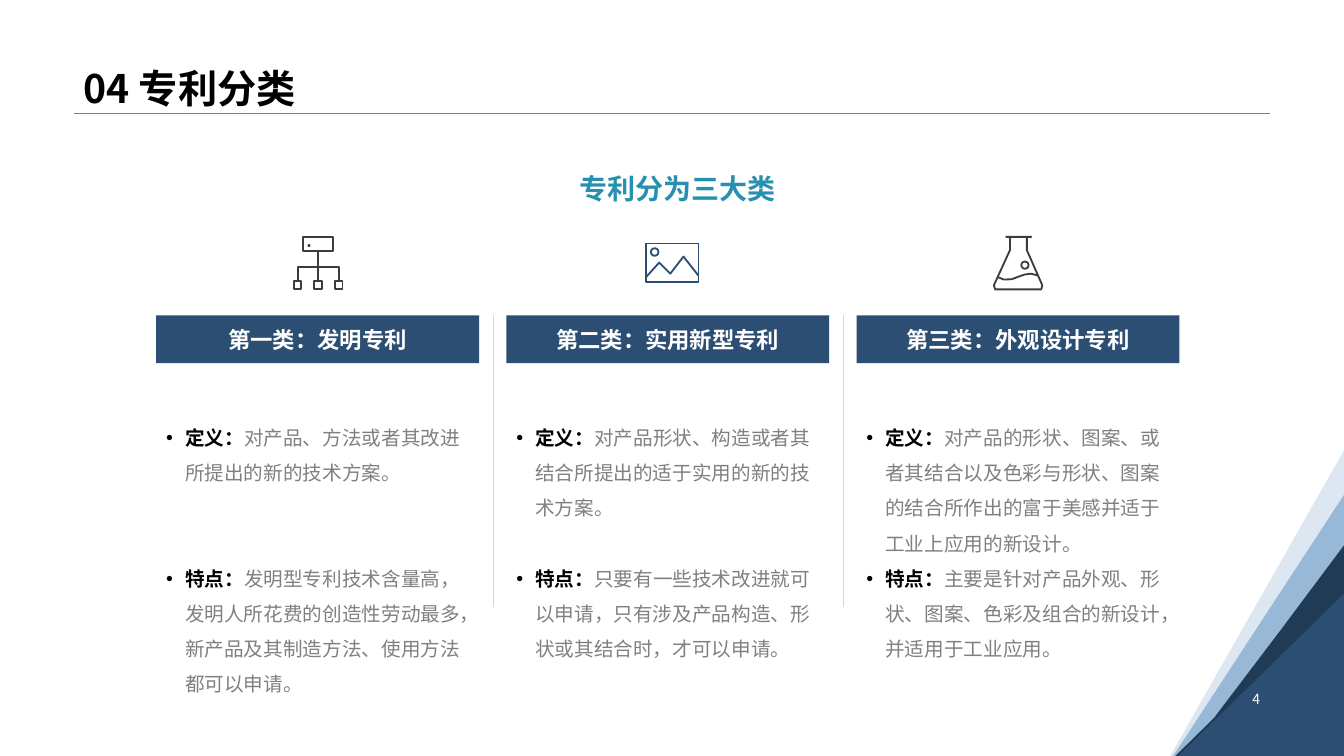
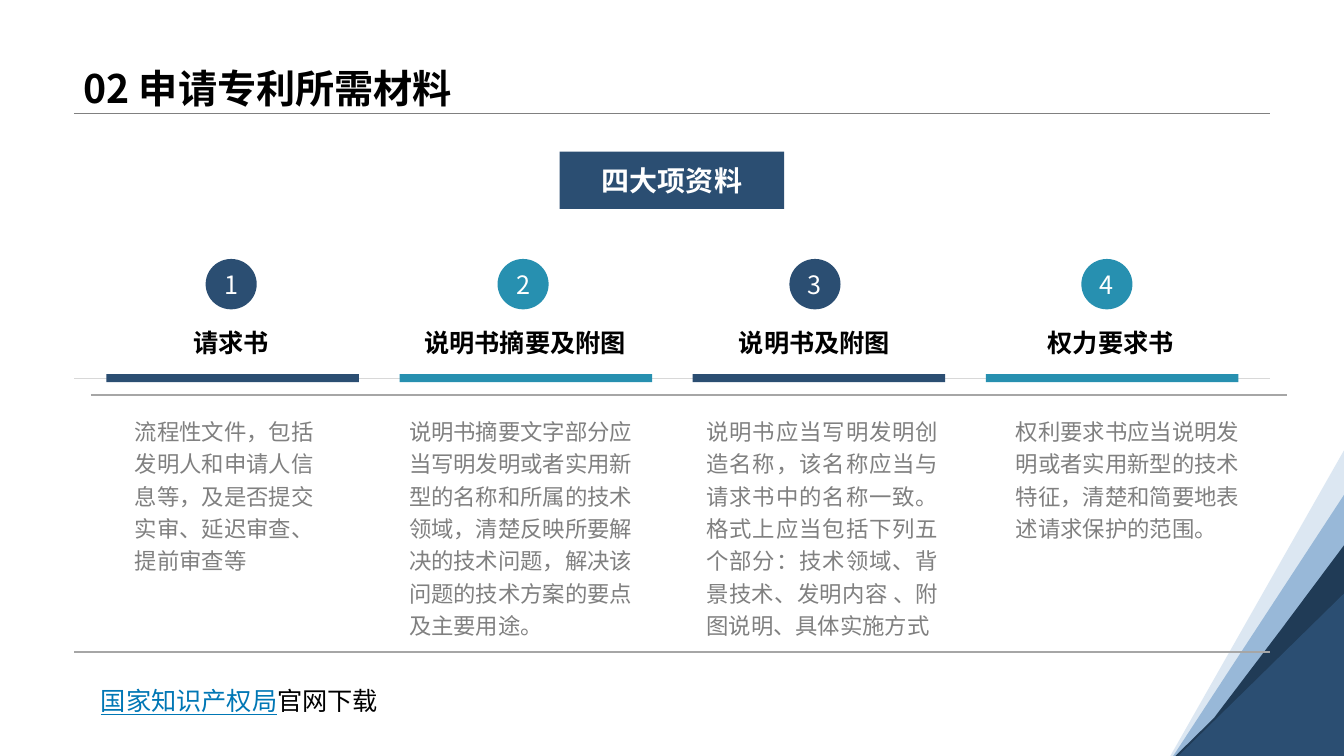
from dataclasses import dataclass

import pptx
import pptx.dml.color
import pptx.enum.shapes
import pptx.enum.text
import pptx.oxml.ns
import pptx.presentation
import pptx.shapes.base
import pptx.slide
import pptx.util
from lxml import etree

Pt = pptx.util.Pt
Align = pptx.enum.text.PP_ALIGN
Anchor = pptx.enum.text.MSO_ANCHOR
Preset = pptx.enum.shapes.MSO_SHAPE
Point = tuple[float, float]
Frame = tuple[float, float, float, float]  # left, top, width, height


@dataclass(frozen=True)
class Theme:
    font: str = "Noto Sans CJK SC"
    link_font: str = "Arial"
    navy: str = "2B4E72"
    teal: str = "2790B0"
    black: str = "000000"
    white: str = "FFFFFF"
    gray: str = "808080"
    rule: str = "A6A6A6"
    pale: str = "D8D8D8"
    ink: str = "3C3C3C"
    link: str = "0077B5"
    title: float = 28
    heading: float = 20
    caption: float = 18
    label: float = 16
    body: float = 14
    footer: float = 10


THEME = Theme()


@dataclass(frozen=True)
class Span:
    text: str
    size: float
    color: str
    bold: bool = False
    underline: bool = False
    font: str = THEME.font


@dataclass(frozen=True)
class Band:
    color: str
    edge: tuple[Point, ...]


@dataclass(frozen=True)
class Icon:
    left: float
    top: float
    color: str
    boxes: tuple[Frame, ...] = ()
    circles: tuple[tuple[float, float, float], ...] = ()  # centre x, centre y, radius
    open_paths: tuple[tuple[Point, ...], ...] = ()
    closed_paths: tuple[tuple[Point, ...], ...] = ()
    joined: tuple[tuple[int, int], ...] = ()  # upper box, lower box


@dataclass(frozen=True)
class Category:
    heading: str
    definition: str
    definition_lines: int
    feature: str
    icon: Icon


@dataclass(frozen=True)
class Material:
    caption: str
    caption_center: float
    body: str
    body_left: float
    body_width: float = 180
    align: Align = Align.LEFT


# Content
BANDS = (
    Band("DCE7F2", ((836, 540), (960, 321.8))),
    Band("98B8D8", ((838, 540), (960, 353.5))),
    Band("203B56", ((839.5, 540), (867, 513), (914.8, 450), (960, 389.5))),
    Band(THEME.navy, ((841.7, 540), (960, 424))),
)

TREE_ICON = Icon(
    209.5, 168.5, THEME.ink,
    boxes=((7.2, 0.7, 20.9, 10.2),) + tuple((x - 2.6, 32.3, 5.2, 5.9) for x in (3.2, 17.65, 32.6)),
    circles=((11.2, 6.9, 0.4),),
    open_paths=(((3.2, 32.3), (3.2, 22), (32.6, 22), (32.6, 32.3)),),
    joined=((0, 2),),
)
PICTURE_ICON = Icon(
    460.8, 173.2, THEME.navy,
    boxes=((0.7, 0.7, 37.5, 27.4),),
    circles=((6.8, 6.8, 2.7),),
    open_paths=(((0.9, 24.5), (10.1, 14.4), (18, 22.3), (27.4, 10.1), (38, 23.6)),),
)
FLASK_ICON = Icon(
    709.2, 168.5, THEME.ink,
    circles=((22.9, 20.9, 2.6),),
    open_paths=(((3.6, 29.5), (7.9, 31.2), (13.5, 31), (18.2, 29.2), (22.5, 27.7), (27, 27), (32, 28.2)),),
    closed_paths=(((9.4, 0.7), (27.4, 0.7), (24.3, 0.7), (24.3, 10.2), (35.3, 35.3), (34.5, 38.2),
                   (1.7, 38.2), (0.7, 35.3), (12.2, 10.2), (12.2, 0.7)),),
)

CATEGORIES = (
    Category("第一类：发明专利", "对产品、方法或者其改进所提出的新的技术方案。", 2,
             "发明型专利技术含量高，发明人所花费的创造性劳动最多，新产品及其制造方法、使用方法都可以申请。",
             TREE_ICON),
    Category("第二类：实用新型专利", "对产品形状、构造或者其结合所提出的适于实用的新的技术方案。", 3,
             "只要有一些技术改进就可以申请，只有涉及产品构造、形状或其结合时，才可以申请。",
             PICTURE_ICON),
    Category("第三类：外观设计专利",
             "对产品的形状、图案、或者其结合以及色彩与形状、图案的结合所作出的富于美感并适于工业上应用的新设计。", 4,
             "主要是针对产品外观、形状、图案、色彩及组合的新设计，并适用于工业应用。",
             FLASK_ICON),
)

MATERIALS = (
    Material("请求书", 165, "流程性文件，包括发明人和申请人信息等，及是否提交实审、延迟审查、提前审查等", 89.3, 147.6),
    Material("说明书摘要及附图", 375,
             "说明书摘要文字部分应当写明发明或者实用新型的名称和所属的技术领域，清楚反映所要解决的技术问题，"
             "解决该问题的技术方案的要点及主要用途。", 285.1),
    Material("说明书及附图", 581.8,
             "说明书应当写明发明创造名称，该名称应当与请求书中的名称一致。格式上应当包括下列五个部分："
             "技术领域、背景技术、发明内容 、附图说明、具体实施方式", 497.5, align=Align.JUSTIFY),
    Material("权力要求书", 793.4, "权利要求书应当说明发明或者实用新型的技术特征，清楚和简要地表述请求保护的范围。", 718.6),
)


# Drawing helpers
def rgb(color: str) -> pptx.dml.color.RGBColor:
    return pptx.dml.color.RGBColor.from_string(color)


def add_spans(para, spans: tuple[Span, ...], align: Align = Align.LEFT) -> None:
    para.alignment = align
    for span in spans:
        run = para.add_run()
        run.text = span.text
        font = run.font
        font.name, font.size, font.bold = span.font, Pt(span.size), span.bold
        font.underline = span.underline
        font.color.rgb = rgb(span.color)
        east_asian = etree.SubElement(run._r.get_or_add_rPr(), pptx.oxml.ns.qn("a:ea"))
        east_asian.set("typeface", THEME.font)


def add_text(page: pptx.slide.Slide, frame: Frame, *spans: Span, align: Align = Align.LEFT,
             anchor: Anchor = Anchor.TOP, wrap: bool = True):
    box = page.shapes.add_textbox(*map(Pt, frame))
    box.text_frame.word_wrap = wrap
    box.text_frame.vertical_anchor = anchor
    para = box.text_frame.paragraphs[0]
    add_spans(para, spans, align)
    return para


def style(shape, fill: str | None = None, line: str | None = None) -> None:
    shape.shadow.inherit = False
    if fill:
        shape.fill.solid()
        shape.fill.fore_color.rgb = rgb(fill)
    else:
        shape.fill.background()
    if line:
        shape.line.color.rgb = rgb(line)
        shape.line.width = Pt(1.3)
    else:
        shape.line.fill.background()


def add_preset(page: pptx.slide.Slide, preset: Preset, frame: Frame, fill: str | None = None,
               line: str | None = None, label: Span | None = None):
    shape = page.shapes.add_shape(preset, *map(Pt, frame))
    style(shape, fill, line)
    if label:
        text = shape.text_frame
        text.margin_left = text.margin_right = text.margin_top = text.margin_bottom = 0
        text.vertical_anchor = Anchor.MIDDLE
        add_spans(text.paragraphs[0], (label,), Align.CENTER)
    return shape


def add_outline(page: pptx.slide.Slide, points: tuple[Point, ...], closed: bool,
                fill: str | None = None, line: str | None = None) -> None:
    corners = [(Pt(x), Pt(y)) for x, y in points]
    builder = page.shapes.build_freeform(*corners[0], scale=1.0)
    builder.add_line_segments(corners[1:], close=closed)
    style(builder.convert_to_shape(), fill, line)


def add_line(page: pptx.slide.Slide, start: Point, end: Point, color: str, width: float):
    line = page.shapes.add_connector(pptx.enum.shapes.MSO_CONNECTOR.STRAIGHT, *map(Pt, start + end))
    line.line.color.rgb = rgb(color)
    line.line.width = Pt(width)
    etree.SubElement(line._element.spPr, pptx.oxml.ns.qn("a:effectLst"))
    return line


def add_icon(page: pptx.slide.Slide, icon: Icon) -> None:
    boxes = [add_preset(page, Preset.RECTANGLE, (icon.left + x, icon.top + y, width, height), line=icon.color)
             for x, y, width, height in icon.boxes]
    for x, y, radius in icon.circles:
        add_preset(page, Preset.OVAL,
                   (icon.left + x - radius, icon.top + y - radius, 2 * radius, 2 * radius), line=icon.color)
    for paths, closed in ((icon.open_paths, False), (icon.closed_paths, True)):
        for points in paths:
            add_outline(page, tuple((icon.left + x, icon.top + y) for x, y in points), closed, line=icon.color)
    for upper, lower in icon.joined:
        stem = add_line(page, (icon.left, icon.top), (icon.left, icon.top), icon.color, 1.3)
        stem.begin_connect(boxes[upper], 2)
        stem.end_connect(boxes[lower], 0)


def add_page(deck: pptx.presentation.Presentation, title: str) -> pptx.slide.Slide:
    page = deck.slides.add_slide(deck.slide_layouts[6])
    add_line(page, (52.8, 80.8), (907.2, 80.8), THEME.gray, 0.25)
    for band in BANDS:
        add_outline(page, band.edge + ((960, 540),), True, fill=band.color)
    para = add_text(page, (52.8, 0, 854.4, 83.5), Span(title, THEME.title, THEME.black, True),
                    anchor=Anchor.BOTTOM)
    para.line_spacing = 0.9
    return page


def add_bullet(para, label: str, text: str) -> None:
    add_spans(para, (Span(label, THEME.body, THEME.black, True), Span(text, THEME.body, THEME.gray)))
    para.line_spacing = Pt(25.1)
    properties = para._p.get_or_add_pPr()
    properties.set("marL", str(Pt(13.5)))
    properties.set("indent", str(-Pt(13.5)))
    font = etree.SubElement(properties, pptx.oxml.ns.qn("a:buFont"))
    font.set("typeface", "Arial")
    etree.SubElement(properties, pptx.oxml.ns.qn("a:buChar")).set("char", "•")


# Slides
def build_categories(deck: pptx.presentation.Presentation) -> None:
    page = add_page(deck, "04 专利分类")
    add_text(page, (780, 491, 127.2, 16.6), Span("4", THEME.footer, THEME.white),
             align=Align.RIGHT, anchor=Anchor.MIDDLE)
    add_text(page, (176.4, 108, 615.6, 42), Span("专利分为三大类", THEME.heading, THEME.teal, True),
             align=Align.CENTER, anchor=Anchor.BOTTOM)
    left, pitch, width = 111.6, 250.1, 230.6
    for index, category in enumerate(CATEGORIES):
        x = left + index * pitch
        add_preset(page, Preset.RECTANGLE, (x, 225.2, width, 34.3), THEME.navy,
                   label=Span(category.heading, THEME.label, THEME.white, True))
        box = page.shapes.add_textbox(Pt(x), Pt(292.6), Pt(width), Pt(199))
        box.text_frame.word_wrap = True
        definition = box.text_frame.paragraphs[0]
        add_bullet(definition, "定义：", category.definition)
        definition.space_after = Pt(25.1 * (4 - category.definition_lines))
        add_bullet(box.text_frame.add_paragraph(), "特点：", category.feature)
        add_icon(page, category.icon)
        if index:
            gap = x - (pitch - width) / 2
            add_line(page, (gap, 225.2), (gap, 433.5), THEME.pale, 0.25)


def build_materials(deck: pptx.presentation.Presentation) -> None:
    page = add_page(deck, "02 申请专利所需材料")
    add_preset(page, Preset.RECTANGLE, (399.8, 108.3, 160.4, 41), THEME.navy,
               label=Span("四大项资料", THEME.heading, THEME.white, True))
    add_line(page, (53, 270.3), (907.2, 270.3), THEME.pale, 0.25)
    for index, material in enumerate(MATERIALS):
        color = (THEME.navy, THEME.teal)[index % 2]
        add_preset(page, Preset.RECTANGLE, (76 + index * 209.4, 267.2, 180.4, 5.8), color)
        add_preset(page, Preset.OVAL, (146.9 + index * 208.5, 185, 36.5, 36), color,
                   label=Span(str(index + 1), THEME.caption, THEME.white))
        add_text(page, (material.caption_center - 103.5, 228.2, 207, 32.4),
                 Span(material.caption, THEME.caption, THEME.black, True),
                 align=Align.CENTER, anchor=Anchor.MIDDLE)
        body = add_text(page, (material.body_left, 291.2, material.body_width, 170),
                        Span(material.body, THEME.label, THEME.gray), align=material.align)
        body.line_spacing = Pt(23.1)
    add_line(page, (65, 282.2), (919.4, 282.2), THEME.rule, 1)
    add_line(page, (53, 465.8), (907.2, 465.8), THEME.rule, 1)
    add_text(page, (65, 486, 214.6, 28.8),
             Span("国家知识产权局", THEME.caption, THEME.link, underline=True, font=THEME.link_font),
             Span("官网下载", THEME.caption, THEME.black, font=THEME.link_font), wrap=False)


def main() -> None:
    deck = pptx.Presentation()
    deck.slide_width, deck.slide_height = Pt(960), Pt(540)
    build_categories(deck)
    build_materials(deck)
    deck.save("out.pptx")


if __name__ == "__main__":
    main()
